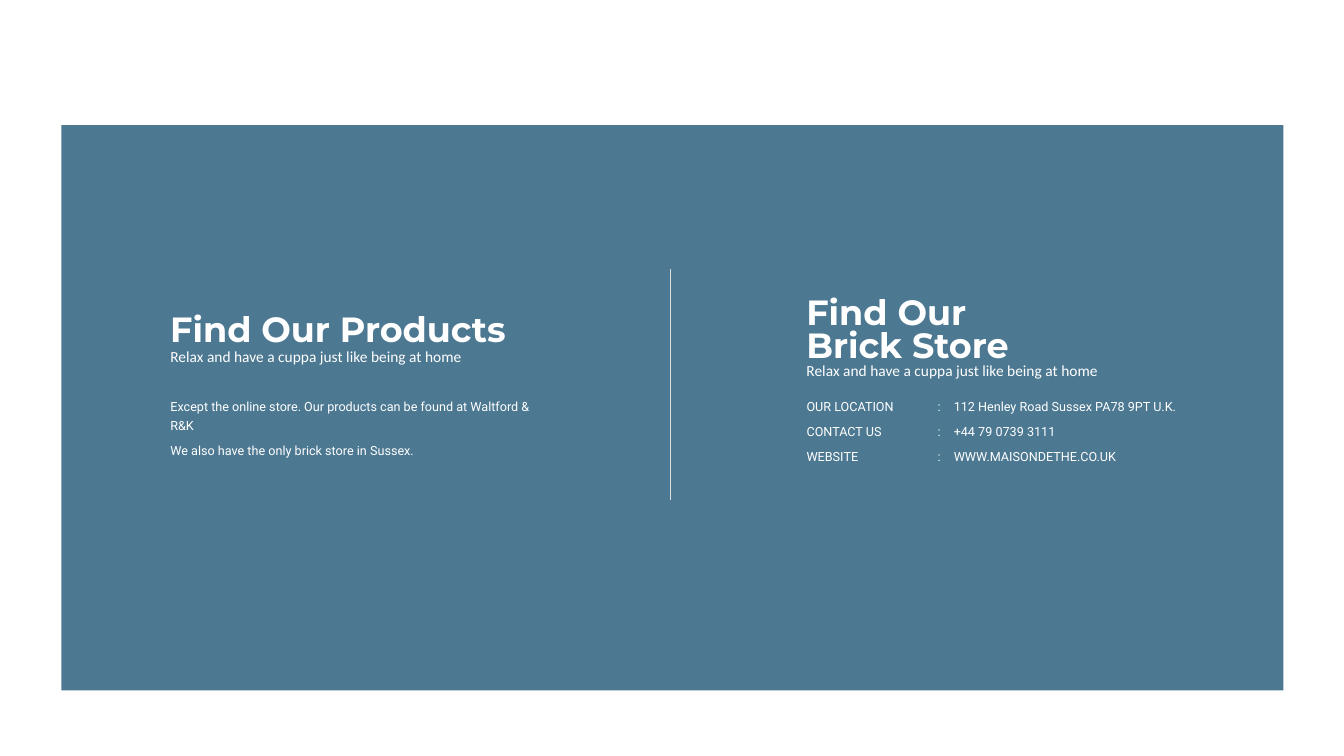
from dataclasses import dataclass

from lxml.etree import SubElement as Sub
from pptx import Presentation
from pptx.dml.color import RGBColor
from pptx.enum.shapes import MSO_CONNECTOR as Line, MSO_SHAPE as Shape
from pptx.enum.text import MSO_AUTO_SIZE as Auto
from pptx.oxml.ns import qn
from pptx.slide import Slide
from pptx.util import Inches, Length, Pt

WHITE = "FFFFFF"
TITLE = {"name": "Montserrat", "size": Pt(25), "bold": True}
TAG = {"name": "Calibri", "size": Pt(11)}
BODY = {"name": "Roboto", "size": Pt(9)}
TIGHT = {"line_spacing": 0.8}
LOOSE = {"line_spacing": Pt(14), "space_after": Pt(4)}
STOPS = (1.3, 1.46)
TAGLINE = "Relax and have a cuppa just like being at home"


@dataclass
class Panel:
    left: float
    title: list[str]
    title_top: float
    title_high: float
    tag_top: float
    tag_high: float
    body: list[str]


PANELS = [
    Panel(1.59, ["Find Our Products"], 3.08, 0.45, 3.39, 0.29, [
        "Except the online store. Our products can be found at Waltford & R&K",
        "We also have the only brick store in Sussex.",
    ]),
    Panel(7.9, ["Find Our", "Brick Store"], 2.91, 0.78, 3.53, 0.18, [
        "OUR LOCATION\t:\t112 Henley Road Sussex PA78 9PT U.K.",
        "CONTACT US\t:\t+44 79 0739 3111",
        "WEBSITE\t:\tWWW.MAISONDETHE.CO.UK",
    ]),
]


def rgb(code: str) -> RGBColor:
    return RGBColor.from_string(code)


def box(at: tuple[float, ...]) -> list[Length]:
    return [Inches(n) for n in at]


def add_text(slide: Slide, at: tuple[float, ...], lines: list[str], face: dict,
             pace: dict, wrap: bool = True, inset: bool = True) -> None:
    frame = slide.shapes.add_textbox(*box(at)).text_frame
    frame.word_wrap = wrap
    frame.auto_size = Auto.SHAPE_TO_FIT_TEXT
    if not inset:
        for side in ("left", "top", "right", "bottom"):
            setattr(frame, f"margin_{side}", 0)
    for i, line in enumerate(lines):
        para = frame.add_paragraph() if i else frame.paragraphs[0]
        for key, value in pace.items():
            setattr(para, key, value)
        if "\t" in line:
            tabs = Sub(para._p.get_or_add_pPr(), qn("a:tabLst"))
            for stop in STOPS:
                Sub(tabs, qn("a:tab"), pos=str(Inches(stop)), algn="l")
        run = para.add_run()
        run.text = line
        for key, value in face.items():
            setattr(run.font, key, value)
        run.font.color.rgb = rgb(WHITE)


def add_back(slide: Slide) -> None:
    """Draw the see-through blue block behind both panels."""
    back = slide.shapes.add_shape(Shape.RECTANGLE, *box((0.61, 1.24, 12.12, 5.61)))
    back.shadow.inherit = False
    back.line.fill.background()
    back.fill.solid()
    back.fill.fore_color.rgb = rgb("255B7A")
    tint = back._element.spPr.find(qn("a:solidFill"))[0]
    Sub(tint, qn("a:alpha"), val="82000")


def add_rule(slide: Slide) -> None:
    """Draw the thin upright line between the panels."""
    rule = slide.shapes.add_connector(Line.STRAIGHT, *box((6.65, 2.67, 6.65, 4.96)))
    rule.line.color.rgb = rgb("DDDDDD")
    rule.line.width = Pt(0.5)
    Sub(rule._element.spPr, qn("a:effectLst"))


def add_panel(slide: Slide, panel: Panel) -> None:
    left = panel.left
    add_text(slide, (left, panel.title_top, 4.43, panel.title_high),
             panel.title, TITLE, TIGHT)
    add_text(slide, (left, panel.tag_top, 3.12, panel.tag_high),
             [TAGLINE], TAG, {}, wrap=False)
    add_text(slide, (left + 0.1, 3.91, 3.77, 0.69),
             panel.body, BODY, LOOSE, inset=False)


def main() -> None:
    deck = Presentation()
    deck.slide_width, deck.slide_height = Inches(13.33), Inches(7.5)
    slide = deck.slides.add_slide(deck.slide_layouts[6])
    add_back(slide)
    add_rule(slide)
    for panel in PANELS:
        add_panel(slide, panel)
    deck.save("out.pptx")


if __name__ == "__main__":
    main()
